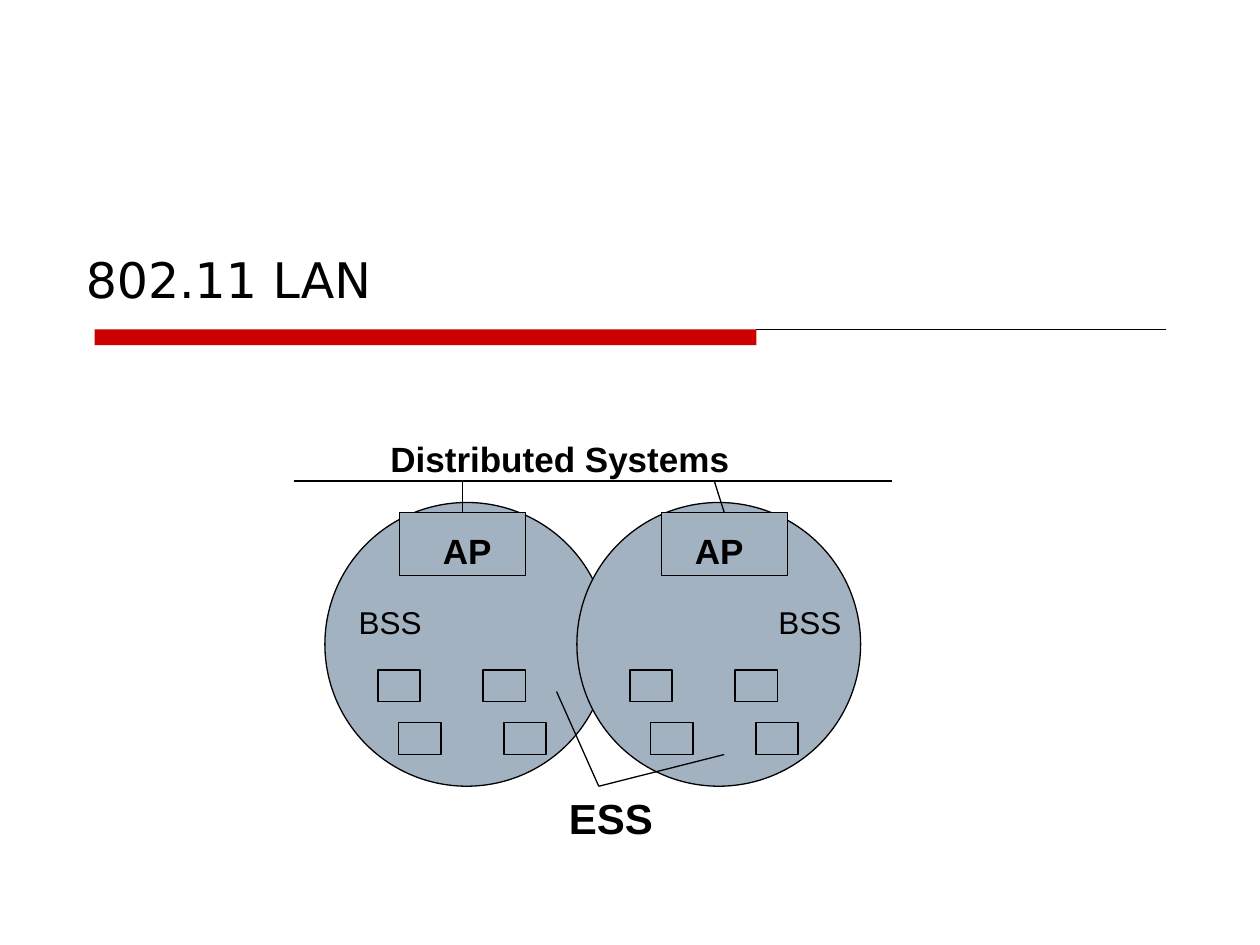
from dataclasses import dataclass
from itertools import product

from lxml.etree import SubElement
from pptx import Presentation
from pptx.dml.color import RGBColor
from pptx.enum.shapes import MSO_CONNECTOR as Connector, MSO_SHAPE as Shape
from pptx.oxml.ns import qn
from pptx.util import Cm, Pt


@dataclass(frozen=True)
class Theme:
    ink: RGBColor = RGBColor(0x00, 0x00, 0x00)
    accent: RGBColor = RGBColor(0xCC, 0x00, 0x00)
    cell: RGBColor = RGBColor(0xA3, 0xB2, 0xC1)
    title_font: str = "DejaVu Sans"
    label_font: str = "Arial"
    title_size: int = 28
    ess_size: int = 24
    label_size: int = 20
    bss_size: int = 18
    line_width: float = 0.75


THEME = Theme()


def add_block(slide, kind, left, top, width, height, fill=THEME.cell, line=THEME.ink):
    shape = slide.shapes.add_shape(kind, Cm(left), Cm(top), Cm(width), Cm(height))
    shape.shadow.inherit = False
    shape.fill.solid()
    shape.fill.fore_color.rgb = fill
    if line is None:
        shape.line.fill.background()
    else:
        shape.line.color.rgb = line
        shape.line.width = Pt(THEME.line_width)
    return shape


def add_line(slide, start, end):
    line = slide.shapes.add_connector(
        Connector.STRAIGHT, Cm(start[0]), Cm(start[1]), Cm(end[0]), Cm(end[1]))
    line.line.color.rgb = THEME.ink
    line.line.width = Pt(THEME.line_width)
    SubElement(line._element.spPr, qn("a:effectLst"))
    return line


def add_label(slide, text, left, top, width, height, size,
              bold=False, font=THEME.label_font):
    box = slide.shapes.add_textbox(Cm(left), Cm(top), Cm(width), Cm(height))
    box.text_frame.word_wrap = True
    box.text_frame.text = text
    run_font = box.text_frame.paragraphs[0].runs[0].font
    run_font.name = font
    run_font.size = Pt(size)
    run_font.bold = bold
    run_font.color.rgb = THEME.ink


def add_title(slide, left, top, width):
    """Title above a thick accent bar that runs on as a thin rule."""
    add_label(slide, "802.11 LAN", left - 0.43, top, 7.62, 1.45,
              THEME.title_size, font=THEME.title_font)
    rule_top, bar_width = top + 1.74, 13.34
    add_line(slide, (left + bar_width, rule_top), (left + width, rule_top))
    add_block(slide, Shape.RECTANGLE, left, rule_top, bar_width, 0.32,
              fill=THEME.accent, line=None)


def add_cell(slide, left, top, access_point_x, bss_x):
    """Draw one BSS with its stations and return its access point."""
    diameter = 5.72
    add_block(slide, Shape.OVAL, left, top, diameter, diameter)
    access_point = add_block(slide, Shape.RECTANGLE,
                             left + access_point_x, top + 0.2, 2.54, 1.27)
    for row, column in product(range(2), repeat=2):
        add_block(slide, Shape.RECTANGLE,
                  left + 1.07 + 2.12 * column + 0.42 * row,
                  top + 3.38 + 1.06 * row, 0.85, 0.64)
    add_label(slide, "AP", left + 2.13, top + 0.41, 1.91, 1.12,
              THEME.label_size, bold=True)
    add_label(slide, "BSS", left + bss_x, top + 1.9, 2.97, 1.02, THEME.bss_size)
    return access_point


def add_network(slide, left, top, width):
    """Two overlapping cells joined by a backbone above and an ESS below."""
    backbone_y = top + 1.01
    cell_left, cell_pitch = left + 0.63, 5.08
    cells = [(1.5, 0.43), (1.7, 3.81)]
    access_points = [
        add_cell(slide, cell_left + index * cell_pitch, top + 1.44, *offsets)
        for index, offsets in enumerate(cells)]

    add_line(slide, (left, backbone_y), (left + width, backbone_y))
    for index, access_point in enumerate(access_points):
        tap = (left + 3.4 + index * cell_pitch, backbone_y)
        add_line(slide, tap, tap).end_connect(access_point, 0)
    add_label(slide, "Distributed Systems", left + 1.7, top, 8.13, 1.12,
              THEME.label_size, bold=True)

    apex = (left + 6.15, top + 7.16)
    for x, y in [(5.3, 5.25), (8.68, 6.52)]:
        add_line(slide, (left + x, top + y), apex)
    add_label(slide, "ESS", left + 5.3, top + 7.16, 4.02, 1.27,
              THEME.ess_size, bold=True)


def main():
    presentation = Presentation()
    presentation.slide_width = Cm(25.4)
    presentation.slide_height = Cm(19.05)
    slide = presentation.slides.add_slide(presentation.slide_layouts[6])
    add_title(slide, 1.91, 4.9, 21.59)
    add_network(slide, 5.92, 8.69, 12.06)
    presentation.save("out.pptx")


if __name__ == "__main__":
    main()
